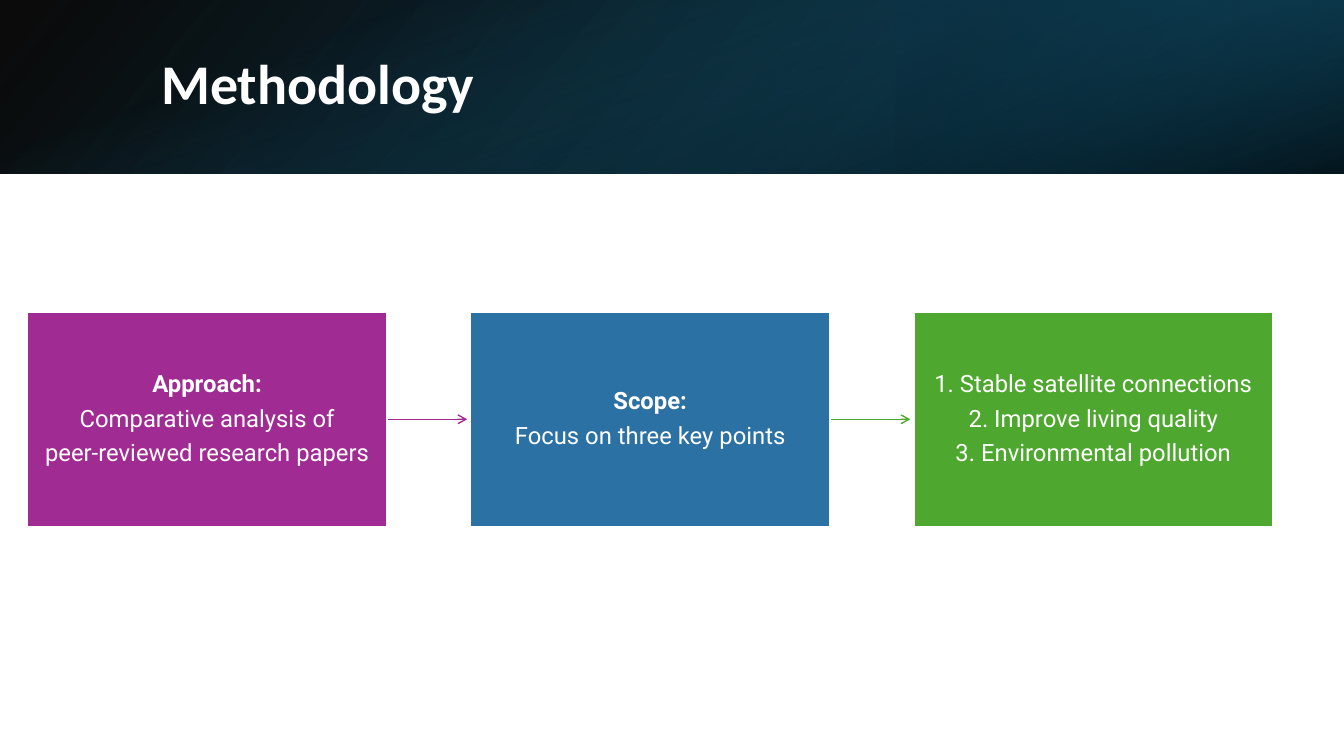
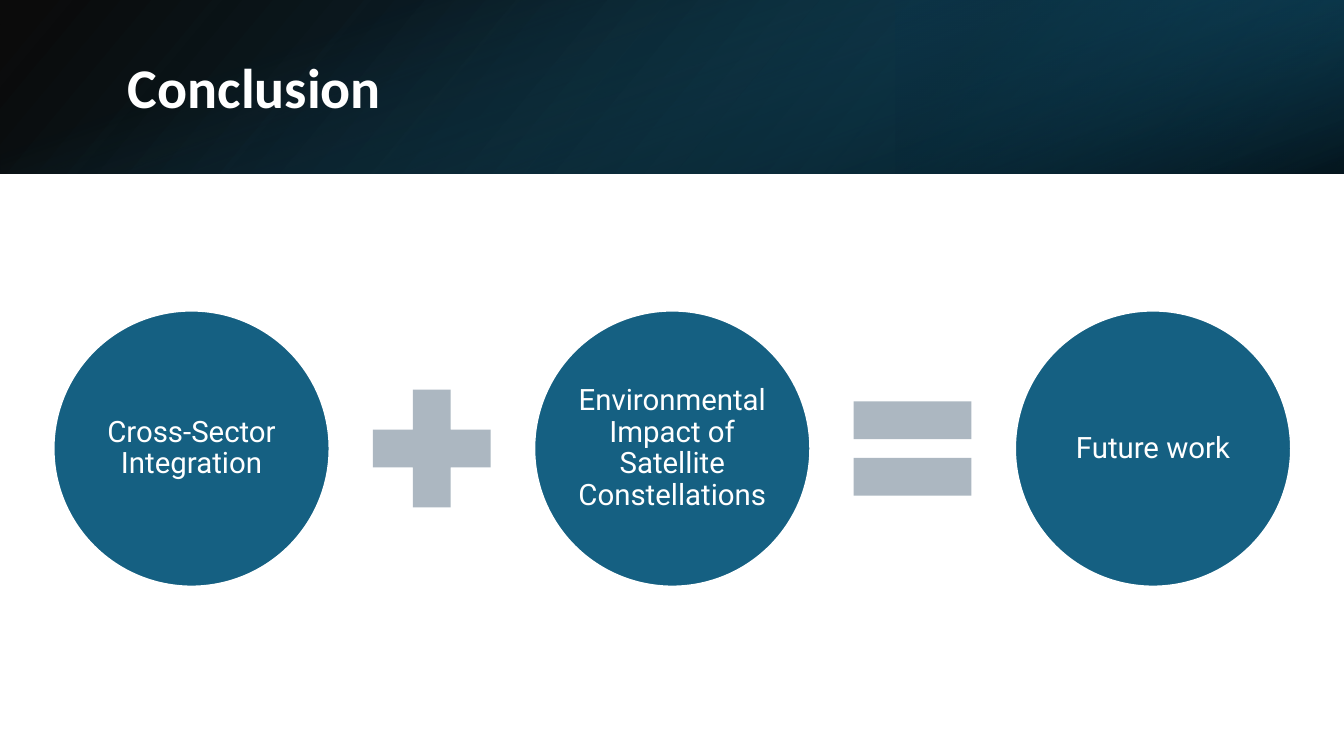
from collections import namedtuple

from lxml.etree import SubElement
from pptx import Presentation
from pptx.dml.color import RGBColor
from pptx.enum.shapes import MSO_CONNECTOR, MSO_SHAPE
from pptx.enum.text import MSO_ANCHOR, PP_ALIGN
from pptx.oxml.ns import qn
from pptx.util import Pt

WHITE = RGBColor(0xFF, 0xFF, 0xFF)
BLACK = RGBColor(0x00, 0x00, 0x00)
DARK_TEAL = RGBColor(0x10, 0x48, 0x62)
NAVY = RGBColor(0x0B, 0x30, 0x41)
TEAL = RGBColor(0x15, 0x60, 0x82)
PURPLE = RGBColor(0xA0, 0x2B, 0x93)
BLUE = RGBColor(0x2C, 0x71, 0xA4)
GREEN = RGBColor(0x4E, 0xA7, 0x2E)
GREY = RGBColor(0xAC, 0xB7, 0xC1)

TITLE_FONT = "Calibri"
BODY_FONT = "Roboto"

Box = namedtuple("Box", "left top width height")
Stop = namedtuple("Stop", "position color opacity")

SLIDE_WIDTH, SLIDE_HEIGHT = 960, 540
BAND = Box(0, 0, SLIDE_WIDTH, 124.2)
FLOW = Box(19.5, 222.5, 890, 154)
EQUATION = Box(38.2, 221.8, 884, 197.2)

STEPS = [
    (PURPLE, [("Approach:", True), ("Comparative analysis of", False),
              ("peer-reviewed research papers", False)]),
    (BLUE, [("Scope:", True), ("Focus on three key points", False)]),
    (GREEN, [("1. Stable satellite connections", False),
             ("2. Improve living quality", False),
             ("3. Environmental pollution", False)]),
]
TERMS = ["Cross-Sector Integration",
         "Environmental Impact of Satellite Constellations",
         "Future work"]
OPERATORS = [MSO_SHAPE.MATH_PLUS, MSO_SHAPE.MATH_EQUAL]


def add_plain_shape(slide, kind, box):
    """Add a preset shape without shadow or outline."""
    shape = slide.shapes.add_shape(kind, *map(Pt, box))
    shape.shadow.inherit = False
    shape.line.fill.background()
    return shape


def add_solid_shape(slide, kind, box, color, outlined=True):
    """Add a solid shape, with a white outline when asked."""
    shape = add_plain_shape(slide, kind, box)
    shape.fill.solid()
    shape.fill.fore_color.rgb = color
    if outlined:
        shape.line.color.rgb = WHITE
        shape.line.width = Pt(1.5)
    return shape


def add_gradient(slide, box, stops, angle, rotation=0, flipped=False):
    """Add a rectangle with a partly transparent two-stop gradient."""
    shape = add_plain_shape(slide, MSO_SHAPE.RECTANGLE, box)
    shape.rotation = rotation
    if flipped:
        shape._element.spPr.get_or_add_xfrm().set("flipH", "1")
    shape.fill.gradient()
    shape.fill.gradient_angle = 360 - angle
    for gradient_stop, stop in zip(shape.fill.gradient_stops, stops):
        gradient_stop.position = stop.position / 100
        gradient_stop.color.rgb = stop.color
    for color, stop in zip(list(shape._element.iter(qn("a:srgbClr"))), stops):
        SubElement(color, qn("a:alpha"), val=str(stop.opacity * 1000))


def add_band(slide, box):
    """Layer three gradients into the dark band behind the title."""
    third = box.width / 3
    upright = Box(box.left + (box.width - box.height) / 2,
                  box.top + (box.height - box.width) / 2,
                  box.height, box.width)
    add_gradient(slide, box, [Stop(0, BLACK, 96), Stop(100, DARK_TEAL, 100)],
                 140, flipped=True)
    add_gradient(slide, Box(box.left + 2 * third, box.top, third, box.height),
                 [Stop(19, NAVY, 68), Stop(100, TEAL, 79)],
                 320, rotation=180, flipped=True)
    add_gradient(slide, upright, [Stop(23, TEAL, 0), Stop(99, BLACK, 74)],
                 340, rotation=90)


def add_titled_slide(presentation, text, left, top):
    """Add a slide with the band and its title."""
    slide = presentation.slides.add_slide(presentation.slide_layouts[5])
    add_band(slide, BAND)
    title = slide.shapes.title
    title.left, title.top, title.width, title.height = map(Pt, (left, top, 790.6, 69))
    slide.shapes._spTree.append(title._element)
    title.text_frame.vertical_anchor = MSO_ANCHOR.MIDDLE
    paragraph = title.text_frame.paragraphs[0]
    paragraph.alignment = PP_ALIGN.LEFT
    paragraph.line_spacing = 0.9
    add_run(paragraph, text, TITLE_FONT, 40, True)
    return slide


def add_run(paragraph, text, font_name, size, bold=False):
    """Add one white run."""
    run = paragraph.add_run()
    run.text = text
    run.font.name = font_name
    run.font.size = Pt(size)
    run.font.bold = bold
    run.font.color.rgb = WHITE


def write_centred(shape, lines, size, inset):
    """Fill a shape with centred lines given as (text, bold)."""
    frame = shape.text_frame
    frame.word_wrap = True
    frame.vertical_anchor = MSO_ANCHOR.MIDDLE
    frame.margin_left = frame.margin_right = Pt(inset)
    frame.margin_top = frame.margin_bottom = Pt(inset)
    for index, (text, bold) in enumerate(lines):
        paragraph = frame.add_paragraph() if index else frame.paragraphs[0]
        paragraph.alignment = PP_ALIGN.CENTER
        paragraph.line_spacing = 0.9
        paragraph.space_after = Pt(round(size * 0.37, 1))
        add_run(paragraph, text, BODY_FONT, size, bold)


def add_arrow(slide, source, end_x, color):
    """Draw an arrow from the right side of a box, kept behind the box."""
    middle = source.top + source.height // 2
    arrow = slide.shapes.add_connector(
        MSO_CONNECTOR.STRAIGHT, source.left + source.width, middle, end_x, middle)
    arrow.begin_connect(source, 3)
    arrow.line.color.rgb = color
    arrow.line.width = Pt(1)
    SubElement(arrow.line._get_or_add_ln(), qn("a:tailEnd"), type="arrow")
    SubElement(arrow._element.spPr, qn("a:effectLst"))
    source._element.addprevious(arrow._element)


def add_flow(slide, box, steps):
    """Lay out the steps as equal boxes joined by arrows."""
    width = 257
    pitch = (box.width - width) / (len(steps) - 1)
    arrow_colors = [PURPLE, GREEN]
    for index, (color, lines) in enumerate(steps):
        left = box.left + index * pitch
        step = add_solid_shape(slide, MSO_SHAPE.RECTANGLE,
                               Box(left, box.top, width, box.height), color)
        write_centred(step, lines, 17, 9)
        if index < len(arrow_colors):
            add_arrow(slide, step, Pt(left + pitch - 2.3), arrow_colors[index])


def add_equation(slide, box, terms, operators):
    """Lay out the terms as circles with an operator in each gap."""
    diameter = box.height
    operator_size = 114.4
    pitch = (box.width - diameter) / (len(terms) - 1)
    operator_top = box.top + (diameter - operator_size) / 2
    for index, term in enumerate(terms):
        left = box.left + index * pitch
        circle = add_solid_shape(slide, MSO_SHAPE.OVAL,
                                 Box(left, box.top, diameter, diameter), TEAL)
        write_centred(circle, [(term, False)], 21, 2)
        if index < len(operators):
            operator_left = left + (diameter + pitch - operator_size) / 2
            add_solid_shape(slide, operators[index],
                            Box(operator_left, operator_top, operator_size, operator_size),
                            GREY, outlined=False)


def main():
    """Build and save the presentation."""
    presentation = Presentation()
    presentation.slide_width = Pt(SLIDE_WIDTH)
    presentation.slide_height = Pt(SLIDE_HEIGHT)
    add_flow(add_titled_slide(presentation, "Methodology", 108, 27.4), FLOW, STEPS)
    add_equation(add_titled_slide(presentation, "Conclusion", 84.2, 30.2),
                 EQUATION, TERMS, OPERATORS)
    presentation.save("out.pptx")


if __name__ == "__main__":
    main()
